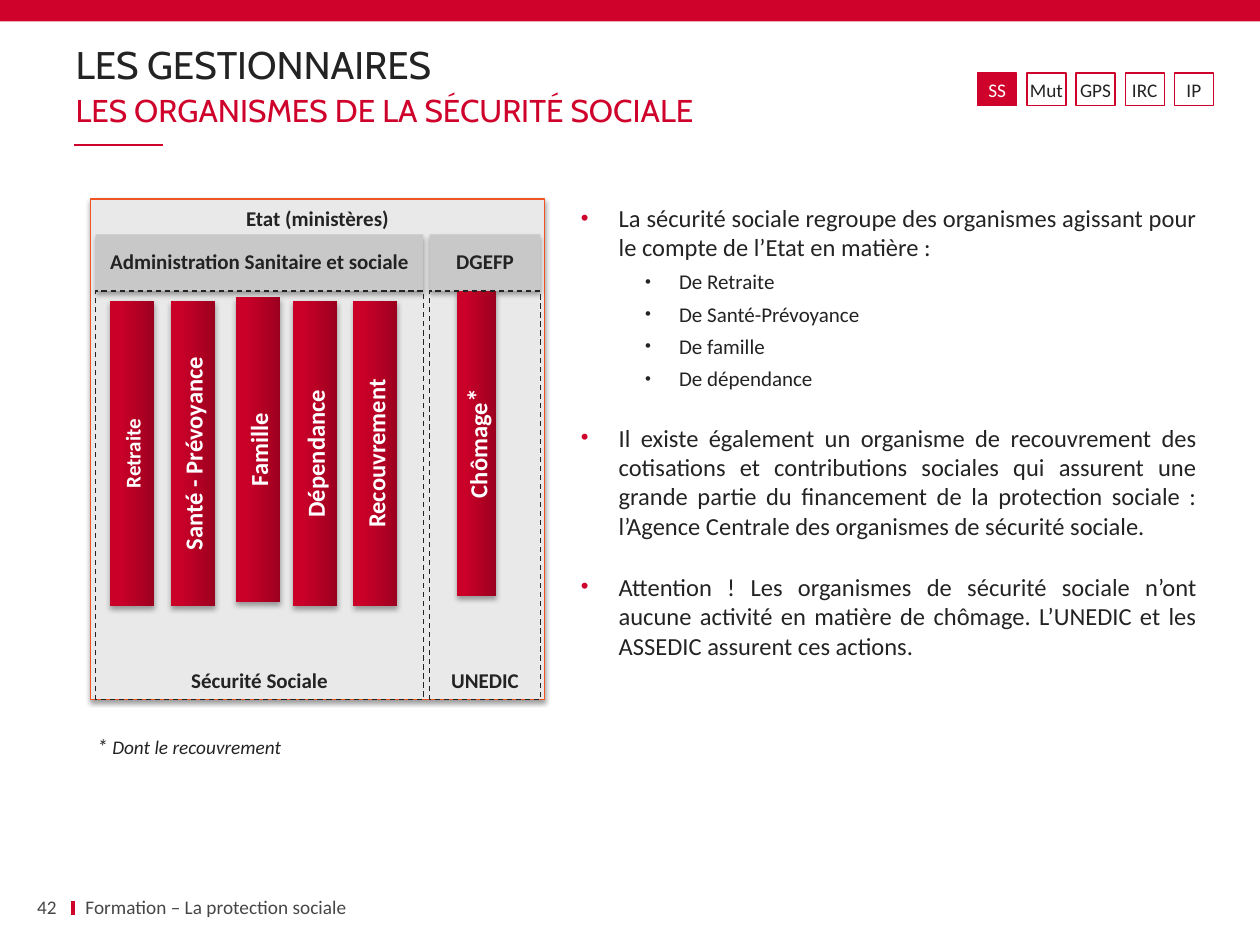
from lxml import etree
from pptx import Presentation
from pptx.dml.color import RGBColor
from pptx.enum.dml import MSO_LINE
from pptx.enum.shapes import MSO_CONNECTOR, MSO_SHAPE
from pptx.enum.text import MSO_ANCHOR, PP_ALIGN
from pptx.oxml.ns import qn
from pptx.util import Inches, Pt

RED = RGBColor(0xCF, 0x02, 0x2B)
BAR_RED = RGBColor(0xCB, 0x00, 0x29)
DARK_RED = RGBColor(0x9C, 0x00, 0x1F)
ORANGE = RGBColor(0xF1, 0x54, 0x23)
INK = RGBColor(0x23, 0x23, 0x23)
FOOTER_GREY = RGBColor(0x46, 0x46, 0x46)
MID_GREY = RGBColor(0xC8, 0xC8, 0xC8)
PALE_GREY = RGBColor(0xE9, 0xE9, 0xE9)
WHITE = RGBColor(0xFF, 0xFF, 0xFF)
BLACK = RGBColor(0, 0, 0)

TOP, MIDDLE, BOTTOM = MSO_ANCHOR.TOP, MSO_ANCHOR.MIDDLE, MSO_ANCHOR.BOTTOM
LEFT, CENTER, RIGHT, JUSTIFY = PP_ALIGN.LEFT, PP_ALIGN.CENTER, PP_ALIGN.RIGHT, PP_ALIGN.JUSTIFY
RECTANGLE, STRAIGHT, DASH = MSO_SHAPE.RECTANGLE, MSO_CONNECTOR.STRAIGHT, MSO_LINE.DASH

TITLE_INSETS = (0, 0.05, 0, 0.05)
NORMAL_INSETS = (0.1, 0.05, 0.1, 0.05)
TIGHT_INSETS = (0.02,) * 4
NO_INSETS = (0,) * 4


def apply(target, values):
    for name, value in values.items():
        setattr(target, name, value)


class SlideBuilder:
    body_font = "Calibri"
    title_font = "Cabin"

    def __init__(self, slide):
        self.slide = slide

    def frame(self, shape, insets, anchor, wrap=True):
        sides = ("margin_left", "margin_top", "margin_right", "margin_bottom")
        apply(shape.text_frame, dict(zip(sides, map(Inches, insets))))
        apply(shape.text_frame, {"vertical_anchor": anchor, "word_wrap": wrap})
        return shape.text_frame

    def add_run(self, paragraph, text, size, color, **font_values):
        run = paragraph.add_run()
        run.text = text
        run.font.color.rgb = color
        apply(run.font, {"name": self.body_font, "size": Pt(size), **font_values})

    def title(self, box, text):
        title = self.slide.shapes.title
        apply(title, dict(zip(("left", "top", "width", "height"), map(Inches, box))))
        paragraph = self.frame(title, TITLE_INSETS, MIDDLE).paragraphs[0]
        apply(paragraph, {"alignment": LEFT, "line_spacing": 0.9})
        self.add_run(paragraph, text, 22, INK, name=self.title_font)

    def text(self, box, runs, insets, anchor=MIDDLE, align=LEFT):
        label = self.slide.shapes.add_textbox(*map(Inches, box))
        paragraph = self.frame(label, insets, anchor).paragraphs[0]
        paragraph.alignment = align
        for content, size, color, font_values in runs:
            self.add_run(paragraph, content, size, color, **font_values)

    def line(self, start, end, width):
        line = self.slide.shapes.add_connector(STRAIGHT, *map(Inches, (*start, *end)))
        line.line.color.rgb = RED
        line.line.width = Pt(width)
        etree.SubElement(line._element.spPr, qn("a:effectLst"))

    def rect(self, box, fill=None, border=None, dash=None, shadow=None):
        shape = self.slide.shapes.add_shape(RECTANGLE, *map(Inches, box))
        shape.shadow.inherit = False
        if fill is None:
            shape.fill.background()
        else:
            shape.fill.solid()
            shape.fill.fore_color.rgb = fill
        if border is None:
            shape.line.fill.background()
        else:
            shape.line.color.rgb = border
            apply(shape.line, {"width": Pt(0.75), "dash_style": dash})
        if shadow:
            self.drop_shadow(shape, *shadow)
        return shape

    def drop_shadow(self, shape, opacity, blur, distance):
        effects = shape._element.spPr.find(qn("a:effectLst"))
        outer = etree.SubElement(
            effects, qn("a:outerShdw"), blurRad=str(Pt(blur)), dist=str(Pt(distance)),
            dir="5400000", rotWithShape="0")
        color = etree.SubElement(outer, qn("a:srgbClr"), val=str(BLACK))
        etree.SubElement(color, qn("a:alpha"), val=str(opacity * 1000))

    def block(self, box, text, anchor=MIDDLE, spacing=None, wrap=True, **style):
        shape = self.rect(box, **style)
        paragraph = self.frame(shape, NORMAL_INSETS, anchor, wrap).paragraphs[0]
        apply(paragraph, {"alignment": CENTER, "line_spacing": spacing})
        self.add_run(paragraph, text, 12, INK, bold=True)

    def tag(self, box, text, active):
        shape = self.rect(box, RED if active else WHITE, RED)
        paragraph = self.frame(shape, TIGHT_INSETS, MIDDLE, False).paragraphs[0]
        paragraph.alignment = CENTER
        self.add_run(paragraph, text, 11, WHITE if active else INK)

    def bar(self, center_x, center_y, thickness, runs):
        length = 2.42
        box = (center_x - length / 2, center_y - thickness / 2, length, thickness)
        shape = self.rect(box, BAR_RED, shadow=SOFT_SHADOW)
        shape.rotation = 270
        shape.fill.gradient()
        shape.fill.gradient_angle = 90
        for stop, position, color in zip(shape.fill.gradient_stops, (0, 0.8), (DARK_RED, BAR_RED)):
            stop.position = position
            stop.color.rgb = color
        paragraph = self.frame(shape, NORMAL_INSETS, MIDDLE).paragraphs[0]
        paragraph.alignment = CENTER
        for text, size in runs:
            self.add_run(paragraph, text, size, WHITE, bold=True)

    def bullets(self, box, items):
        body = self.slide.shapes.add_textbox(*map(Inches, box))
        frame = self.frame(body, NO_INSETS, TOP)
        for index, (level, text) in enumerate(items):
            size, before, margin, hanging, color, scale = BULLET_LEVELS[level]
            paragraph = frame.add_paragraph() if index else frame.paragraphs[0]
            apply(paragraph, {"alignment": JUSTIFY, "level": level, "space_before": Pt(before)})
            properties = paragraph._p.get_or_add_pPr()
            properties.set("marL", str(Inches(margin)))
            properties.set("indent", str(-Inches(hanging)))
            bullet_color = etree.SubElement(properties, qn("a:buClr"))
            etree.SubElement(bullet_color, qn("a:srgbClr"), val=str(color))
            etree.SubElement(properties, qn("a:buSzPct"), val=str(scale * 1000))
            etree.SubElement(properties, qn("a:buFont"), typeface="Arial")
            etree.SubElement(properties, qn("a:buChar"), char="•")
            self.add_run(paragraph, text, size, INK)


SOFT_SHADOW = (35, 3.1, 1.8)
PANEL_SHADOW = (38, 3.1, 1.6)
BULLET_LEVELS = [(14, 18, 0.3, 0.3, RED, 90), (12, 4.1, 0.78, 0.27, INK, 80)]
TAGS = ["SS", "Mut", "GPS", "IRC", "IP"]
BRANCHES = [
    (1.05, 3.6, 0.35, [("Retraite", 12)]),
    (1.53, 3.6, 0.35, [("Santé - Prévoyance", 14)]),
    (2.05, 3.57, 0.35, [("Famille", 14)]),
    (2.5, 3.6, 0.35, [("Dépendance", 14)]),
    (2.98, 3.6, 0.35, [("Recouvrement", 14)]),
    (3.78, 3.52, 0.31, [("Chômage", 14), ("*", 16)]),
]
EXPLANATIONS = [
    (0, "La sécurité sociale regroupe des organismes agissant pour le compte de l’Etat en matière :"),
    (1, "De Retraite"),
    (1, "De Santé-Prévoyance"),
    (1, "De famille"),
    (1, "De dépendance"),
    (0, "Il existe également un organisme de recouvrement des cotisations et contributions sociales "
        "qui assurent une grande partie du financement de la protection sociale : "
        "l’Agence Centrale des organismes de sécurité sociale."),
    (0, "Attention ! Les organismes de sécurité sociale n’ont aucune activité en matière de chômage. "
        "L’UNEDIC et les ASSEDIC assurent ces actions."),
]


def main():
    deck = Presentation()
    apply(deck, {"slide_width": Inches(10), "slide_height": Inches(7.5)})
    page = SlideBuilder(deck.slides.add_slide(deck.slide_layouts[5]))

    page.line((0.58, 7.15), (0.58, 7.26), 2.25)
    page.line((0.59, 1.15), (1.29, 1.15), 1)
    page.rect((0, 0, 10, 0.17), RED)
    page.title((0.6, 0.35, 8.8, 0.36), "LES GESTIONNAIRES")
    page.text((0.6, 0.72, 8.8, 0.3),
              [("LES ORGANISMES DE LA SÉCURITÉ SOCIALE", 18, RED, {"name": page.title_font})],
              TITLE_INSETS)
    for index, tag in enumerate(TAGS):
        page.tag((7.76 + 0.39 * index, 0.58, 0.31, 0.26), tag, index == 0)

    page.bullets((4.61, 1.61, 4.89, 3.95), EXPLANATIONS)

    page.block((0.72, 1.58, 3.6, 3.97), "Etat (ministères)", TOP,
               fill=PALE_GREY, border=ORANGE, shadow=PANEL_SHADOW)
    columns = [(0.76, 2.6, "Administration Sanitaire et sociale", "Sécurité Sociale"),
               (3.41, 0.88, "DGEFP", "UNEDIC")]
    for left, width, authority, _ in columns:
        page.block((left, 1.86, width, 0.45), authority, spacing=0.9,
                   fill=MID_GREY, shadow=SOFT_SHADOW)
    for branch in BRANCHES:
        page.bar(*branch)
    for left, width, _, scheme in columns:
        page.block((left, 2.31, width, 3.24), scheme, BOTTOM, wrap=False, border=INK, dash=DASH)

    page.text((0.75, 5.8, 2.52, 0.24),
              [("* ", 12, INK, {"italic": True}),
               ("Dont le recouvrement", 11, INK, {"italic": True})], TIGHT_INSETS, TOP)
    page.text((0.13, 7.11, 0.32, 0.18), [("42", 11, FOOTER_GREY, {})], TITLE_INSETS, align=RIGHT)
    page.text((0.58, 7.11, 4.97, 0.18),
              [("Formation – La protection sociale", 11, FOOTER_GREY, {})], NORMAL_INSETS)
    deck.save("out.pptx")


if __name__ == "__main__":
    main()
